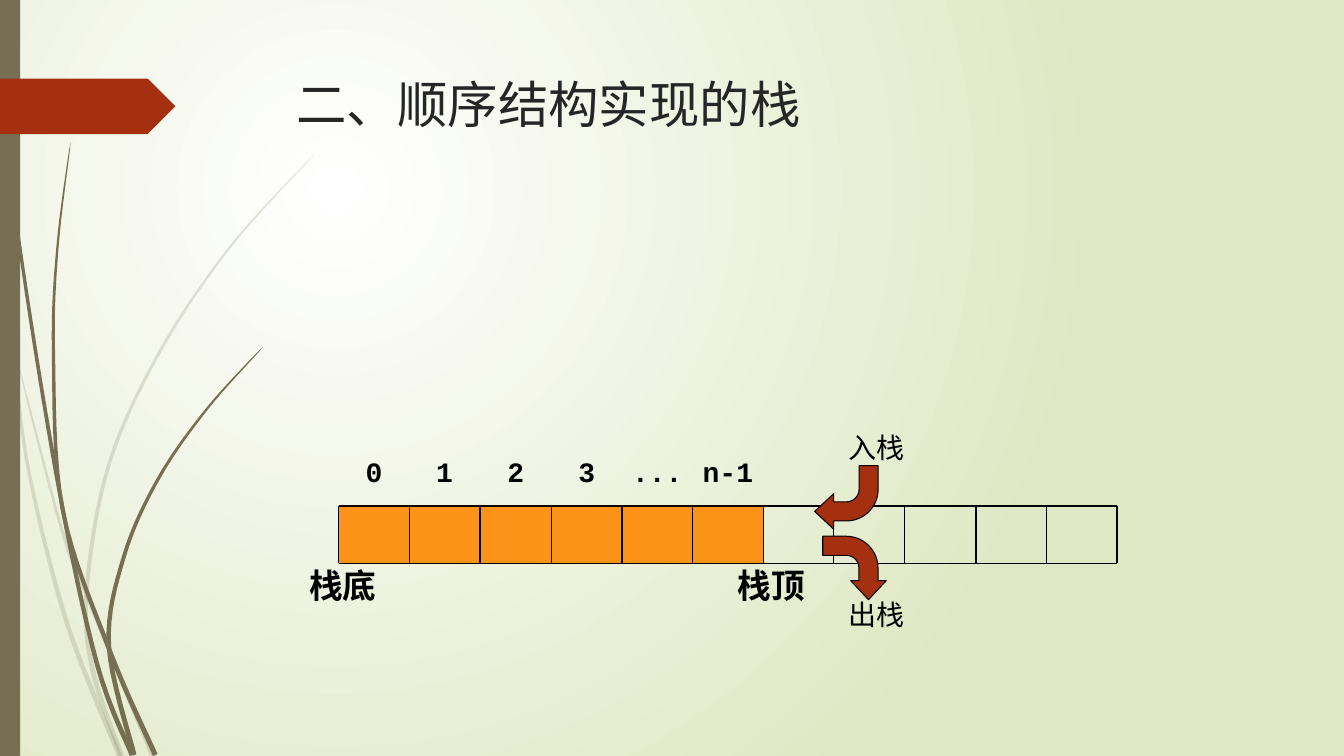
import math

from lxml import etree
from pptx import Presentation
from pptx import util as u
from pptx.dml.color import RGBColor
from pptx.enum import shapes, text
from pptx.oxml import ns

PX = 9144  # one px is a hundredth of an inch
STEPS = 8  # chords between two points of a blade
WHITE = RGBColor(0xFF, 0xFF, 0xFF)
PALE_GREEN = RGBColor(0xDF, 0xE8, 0xC4)
OLIVE = RGBColor(0x76, 0x6F, 0x54)
RUST = RGBColor(0xA5, 0x30, 0x10)
ORANGE = RGBColor(0xFB, 0x93, 0x18)
INK = RGBColor(0x26, 0x26, 0x26)
BLACK = RGBColor(0, 0, 0)

# Midlines of the grass blades, from tip to root
FAINT_GRASS = [
    [(0, 290), (14, 360), (29, 470), (67, 620), (119, 751)],
    [(14, 345), (60, 521), (86, 590), (152, 751)],
    [(312, 153), (229, 244), (159, 348), (108, 461), (86, 585), (92, 665), (121, 751)],
]
DARK_GRASS = [
    [(3, 0), (7, 110), (18, 233), (57, 477), (96, 658), (131, 749)],
    [(70, 141), (57, 245), (53, 349), (62, 505), (109, 646), (154, 749)],
    [(261, 344), (205, 406), (157, 475), (123, 552), (108, 640), (133, 749)],
]


def draw_blade(parent, knots, root_width):
    """Draw a smooth blade through the knots that widens towards its root."""
    padded = [knots[0]] + knots + [knots[-1]]
    middle = []
    for p, q, r, s in zip(padded, padded[1:], padded[2:], padded[3:]):
        for step in range(STEPS):
            t = step / STEPS
            middle.append([(2 * b + (c - a) * t + (2 * a - 5 * b + 4 * c - d) * t ** 2
                            + (3 * b - a - 3 * c + d) * t ** 3) / 2
                           for a, b, c, d in zip(p, q, r, s)])
    middle.append(knots[-1])
    last = len(middle) - 1
    near, far = [], []
    for i, (x, y) in enumerate(middle):
        before, after = middle[max(i - 1, 0)], middle[min(i + 1, last)]
        dx, dy = after[0] - before[0], after[1] - before[1]
        half = root_width / 2 * math.sqrt(i / last) / math.hypot(dx, dy)
        near.append(((x - dy * half) * PX, (y + dx * half) * PX))
        far.append(((x + dy * half) * PX, (y - dx * half) * PX))
    outline = near + far[::-1]
    builder = parent.shapes.build_freeform(*outline[0])
    builder.add_line_segments(outline[1:], close=True)
    return builder.convert_to_shape()


def add_label(parent, place, words, size, font, bold):
    box = parent.shapes.add_textbox(*(v * PX for v in place))
    para = box.text_frame.paragraphs[0]
    span = para.add_run()
    span.text = words
    span.font.size, span.font.name, span.font.bold = u.Pt(size), font, bold
    span.font.color.rgb = BLACK
    return box


deck = Presentation()
deck.slide_width, deck.slide_height = 1333 * PX, 750 * PX
page = deck.slides.add_slide(deck.slide_layouts[5])

# Background: circular gradient centred in the upper left
page.background.fill.gradient()
for stop, color in zip(page.background.fill.gradient_stops, (WHITE, PALE_GREEN)):
    stop.color.rgb = color
gradient = page.element.find(".//" + ns.qn("a:gradFill"))
gradient.remove(gradient.find(ns.qn("a:lin")))
circle = etree.SubElement(gradient, ns.qn("a:path"), path="circle")
etree.SubElement(circle, ns.qn("a:fillToRect"), l="50000", t="50000", r="100000", b="100000")

# Grass
for blades, opacity in ((FAINT_GRASS, 20), (DARK_GRASS, 100)):
    grass = page.shapes.add_group_shape()
    for knots in blades:
        blade = draw_blade(grass, knots, 5)
        blade.shadow.inherit = False
        blade.fill.solid()
        blade.fill.fore_color.rgb = OLIVE
        blade.line.fill.background()
        tint = blade.element.spPr.find(".//" + ns.qn("a:srgbClr"))
        etree.SubElement(tint, ns.qn("a:alpha"), val=str(opacity * 1000))

# Side bar and banner
for kind, place, color in ((shapes.MSO_SHAPE.RECTANGLE, (0, 0, 20, 750), OLIVE),
                           (shapes.MSO_SHAPE.PENTAGON, (0, 78, 174, 55), RUST)):
    band = page.shapes.add_shape(kind, *(v * PX for v in place))
    band.shadow.inherit = False
    band.fill.solid()
    band.fill.fore_color.rgb = color
    band.line.fill.background()

# Title
title = page.shapes.title
title.left, title.top, title.width, title.height = (v * PX for v in (284, 68, 975, 140))
title.text_frame.vertical_anchor = text.MSO_ANCHOR.TOP
para = title.text_frame.paragraphs[0]
para.alignment = text.PP_ALIGN.LEFT
span = para.add_run()
span.text = "二、顺序结构实现的栈"
span.font.size, span.font.name = u.Pt(36), "League Spartan"
span.font.color.rgb = INK

# Stack cells with their indexes
TOP, BOTTOM = 502, 559
edges = [336 + round(i * 772 / 11) for i in range(12)]
stack = page.shapes.add_group_shape()
for left, right, index in zip(edges, edges[1:], ("0", "1", "2", "3", "...", "n-1")):
    cell = stack.shapes.add_shape(shapes.MSO_SHAPE.RECTANGLE, left * PX, TOP * PX,
                                  (right - left) * PX, (BOTTOM - TOP) * PX)
    cell.shadow.inherit = False
    cell.fill.solid()
    cell.fill.fore_color.rgb = ORANGE
    cell.line.fill.background()
    box = add_label(stack, (left, 446, right - left, 57), index, 20, "Courier New", True)
    box.text_frame.word_wrap = True
    box.text_frame.margin_left = box.text_frame.margin_right = 0
    box.text_frame.paragraphs[0].alignment = text.PP_ALIGN.CENTER

# Grid lines of the stack
rules = [(edges[0], y, edges[-1], y) for y in (TOP, BOTTOM)]
rules += [(x, TOP, x, BOTTOM) for x in edges]
for ends in rules:
    rule = stack.shapes.add_connector(shapes.MSO_CONNECTOR.STRAIGHT, *(v * PX for v in ends))
    rule.line.color.rgb = BLACK
    rule.line.width = u.Pt(1)
    etree.SubElement(rule.element.spPr, ns.qn("a:effectLst"))

# Labels of the stack ends and operations
for place, words, size, bold in (((297, 556, 87, 50), "栈底", 24, True),
                                 ((722, 556, 87, 50), "栈顶", 24, True),
                                 ((832, 422, 76, 43), "入栈", 20, False),
                                 ((832, 588, 76, 43), "出栈", 20, False)):
    box = add_label(page, place, words, size, "Times New Roman", bold)
    box.text_frame.word_wrap = False
    box.text_frame.auto_size = text.MSO_AUTO_SIZE.SHAPE_TO_FIT_TEXT

# Push and pop arrows
for left, top, turn in ((808, 462, 180), (816, 532, 90)):
    arrow = page.shapes.add_shape(shapes.MSO_SHAPE.BENT_ARROW, left * PX, top * PX,
                                  63 * PX, 63 * PX)
    arrow.rotation = turn
    for i, ratio in enumerate((0.3, 0.28, 0.3, 0.5)):
        arrow.adjustments[i] = ratio
    arrow.shadow.inherit = False
    arrow.fill.solid()
    arrow.fill.fore_color.rgb = RUST
    arrow.line.color.rgb = BLACK
    arrow.line.width = u.Pt(0.75)

deck.save("out.pptx")
